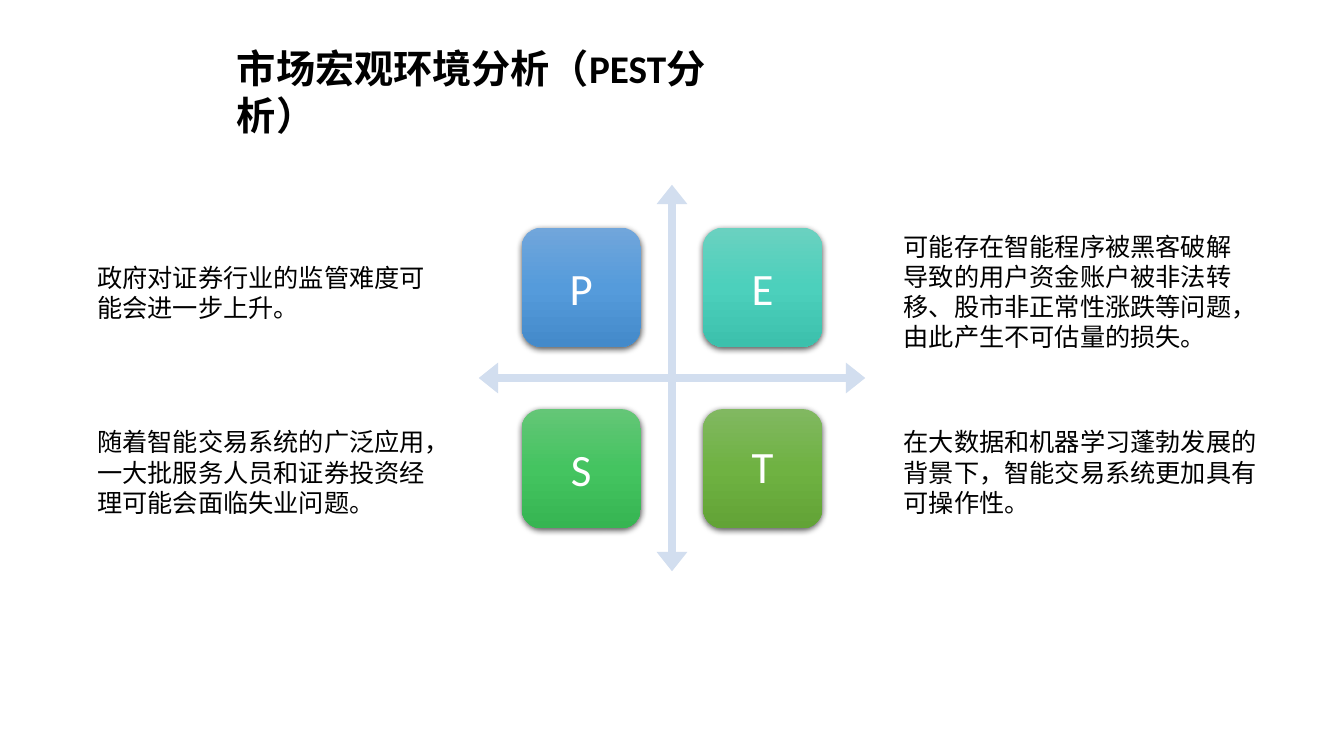
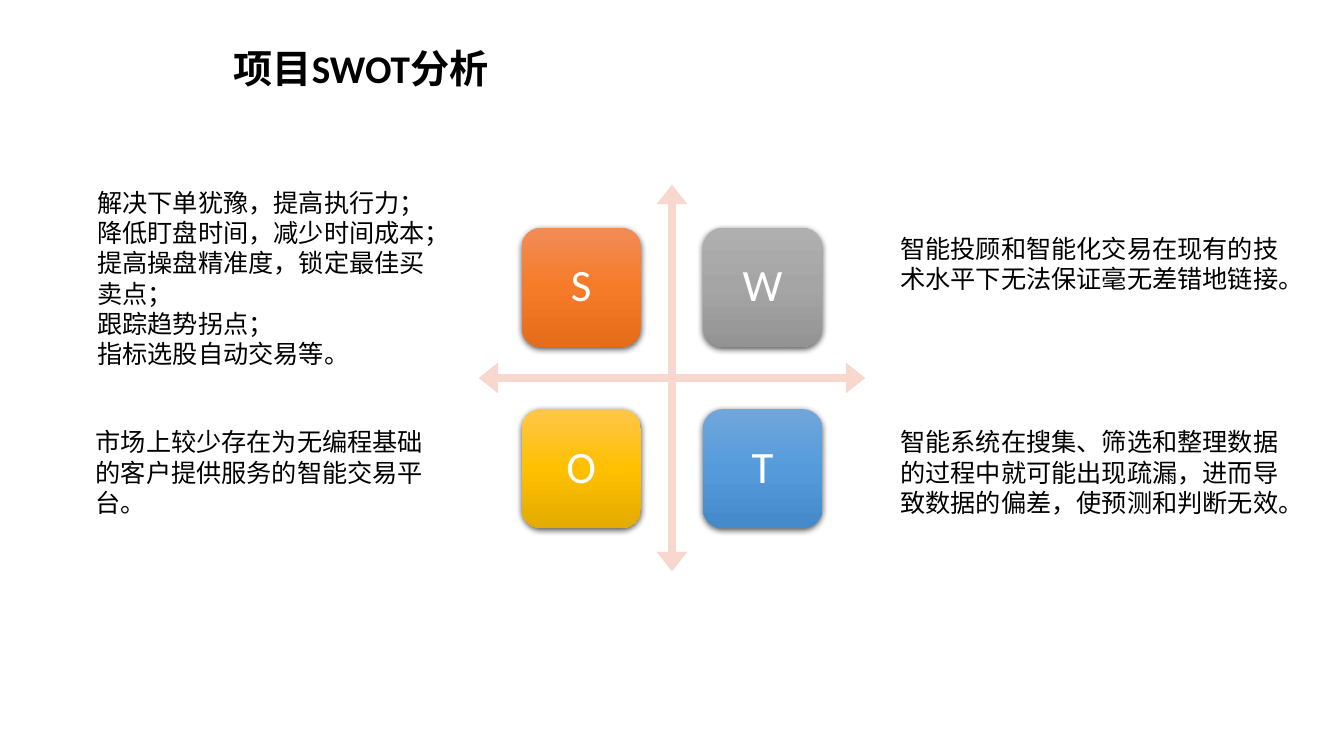
from copy import deepcopy
from itertools import product

from lxml.etree import SubElement
from pptx import Presentation
from pptx.dml.color import RGBColor
from pptx.enum.shapes import MSO_SHAPE
from pptx.enum.text import MSO_ANCHOR, MSO_AUTO_SIZE, PP_ALIGN
from pptx.oxml.ns import qn
from pptx.util import Inches, Pt

COLUMNS, ROWS = 160, 90
CELL = Inches(7.5) / ROWS
CENTER_X, CENTER_Y = COLUMNS / 2, ROWS / 2
TILE_SIZE, TILE_OFFSET = 14.2, 10.8
ARROW_SIZE = 46

COLORS = {
    "text": "000000", "letter": "FFFFFF", "shadow": "000000",
    "pale blue": "D2DEEF", "pale orange": "F8D7CE",
}
GRADIENTS = {
    "blue": ("71A6DB", "559BDB", "448ACA"),
    "teal": ("6AD1C0", "4CD0BC", "3CC0AC"),
    "green": ("64C677", "44C460", "36B552"),
    "olive": ("81B861", "6FB242", "62A336"),
    "orange": ("F18C57", "F67B28", "E56C19"),
    "grey": ("AFAFAF", "A5A5A5", "939393"),
    "yellow": ("FFC64B", "FFC000", "E3AB00"),
}
FORMATS = {
    "title": {"size": Pt(28), "bold": True},
    "note": {"size": Pt(18), "bold": False},
    "letter": {"size": Pt(32), "bold": False},
}
FRAME = {"word_wrap": True, "vertical_anchor": MSO_ANCHOR.TOP,
         "auto_size": MSO_AUTO_SIZE.SHAPE_TO_FIT_TEXT}
TILE_FRAME = {"word_wrap": True, "vertical_anchor": MSO_ANCHOR.MIDDLE}
TILE_FRAME |= {f"margin_{side}": Inches(0.13)
               for side in ("left", "top", "right", "bottom")}

# Each tile is letter, gradient, line spacing; each note is its place and its paragraphs.
SLIDES = [
    {
        "title": ("市场宏观环境分析（PEST分析）", (27, 4.7, 67, 6.8)),
        "arrow": "pale blue",
        "tiles": [("P", "blue", 1.0), ("E", "teal", 1.0),
                  ("S", "green", 1.0), ("T", "olive", 0.9)],
        "notes": [
            ((10.4, 30.6, 41.9, 8.5), ["政府对证券行业的监管难度可能会进一步上升。"]),
            ((106.4, 26.9, 43.7, 15.7),
             ["可能存在智能程序被黑客破解导致的用户资金账户被非法转移、"
              "股市非正常性涨跌等问题，由此产生不可估量的损失。"]),
            ((10.4, 50.2, 41.9, 12.1),
             ["随着智能交易系统的广泛应用，一大批服务人员和证券投资经理可能会面临失业问题。"]),
            ((106.4, 50.2, 44.4, 12.1),
             ["在大数据和机器学习蓬勃发展的背景下，智能交易系统更加具有可操作性。"]),
        ],
    },
    {
        "title": ("项目SWOT分析", (26.6, 4.7, 43.2, 6.8)),
        "arrow": "pale orange",
        "tiles": [("S", "orange", 0.9), ("W", "grey", 0.9),
                  ("O", "yellow", 0.9), ("T", "blue", 0.9)],
        "notes": [
            ((10.4, 21.7, 42.2, 23),
             ["解决下单犹豫，提高执行力；", "降低盯盘时间，减少时间成本；",
              "提高操盘精准度，锁定最佳买卖点；", "跟踪趋势拐点；", "指标选股自动交易等。"]),
            ((106, 27.2, 47.4, 12.1),
             ["智能投顾和智能化交易在现有的技术水平下无法保证毫无差错地链接。"]),
            ((10.2, 50.2, 42.4, 12.1),
             ["市场上较少存在为无编程基础的客户提供服务的智能交易平台。"]),
            ((106, 50.2, 47.4, 12.1),
             ["智能系统在搜集、筛选和整理数据的过程中就可能出现疏漏，"
              "进而导致数据的偏差，使预测和判断无效。"]),
        ],
    },
]


def cells(*counts):
    """Turn grid cells into slide lengths."""
    return [round(count * CELL) for count in counts]


def set_all(target, values):
    for name, value in values.items():
        setattr(target, name, value)


class MatrixDeck:
    """Presentation style plus the slide being filled."""

    def __init__(self):
        self.deck = Presentation()
        self.deck.slide_width, self.deck.slide_height = cells(COLUMNS, ROWS)
        self.slide = None

    def add_slide(self):
        self.slide = self.deck.slides.add_slide(self.deck.slide_layouts[5])

    def fill_text(self, shape, lines, style, color, frame, **paragraph_format):
        text_frame = shape.text_frame
        set_all(text_frame, frame)
        for index, line in enumerate(lines):
            para = text_frame.add_paragraph() if index else text_frame.paragraphs[0]
            set_all(para, paragraph_format)
            span = para.add_run()
            span.text = line
            set_all(span.font, {"name": "Calibri", **FORMATS[style]})
            span.font.color.rgb = RGBColor.from_string(COLORS[color])

    def title(self, text, place):
        title = self.slide.shapes.title
        set_all(title, dict(zip(("left", "top", "width", "height"), cells(*place))))
        self.fill_text(title, [text], "title", "text", FRAME, alignment=PP_ALIGN.LEFT)

    def note(self, place, lines):
        box = self.slide.shapes.add_textbox(*cells(*place))
        self.fill_text(box, lines, "note", "text", FRAME)

    def centered_shape(self, kind, x, y, size):
        """Add a square shape around a grid point, without line or shadow."""
        shape = self.slide.shapes.add_shape(
            kind, *cells(x - size / 2, y - size / 2, size, size))
        shape.shadow.inherit = False
        shape.line.fill.background()
        return shape

    def cross_arrow(self, color):
        arrow = self.centered_shape(MSO_SHAPE.QUAD_ARROW, CENTER_X, CENTER_Y, ARROW_SIZE)
        for index, share in enumerate((0.02, 0.04, 0.05)):
            arrow.adjustments[index] = share
        arrow.fill.solid()
        arrow.fill.fore_color.rgb = RGBColor.from_string(COLORS[color])

    def tile(self, x, y, letter, gradient, line_spacing):
        tile = self.centered_shape(MSO_SHAPE.ROUNDED_RECTANGLE, x, y, TILE_SIZE)
        self.shade(tile, GRADIENTS[gradient])
        self.drop_shadow(tile)
        self.fill_text(tile, [letter], "letter", "letter", TILE_FRAME,
                       alignment=PP_ALIGN.CENTER, line_spacing=line_spacing)

    @staticmethod
    def shade(shape, colors):
        """Fill from top to bottom with evenly spaced colours."""
        shape.fill.gradient()
        shape.fill.gradient_angle = 270
        stop_list = shape._element.spPr.find(f".//{qn('a:gsLst')}")
        while len(stop_list) < len(colors):
            stop_list.append(deepcopy(stop_list[0]))
        for index, (stop, color) in enumerate(zip(shape.fill.gradient_stops, colors)):
            stop.position = index / (len(colors) - 1)
            stop.color.rgb = RGBColor.from_string(color)

    @staticmethod
    def drop_shadow(shape):
        effects = shape._element.spPr.find(qn("a:effectLst"))
        shadow = SubElement(effects, qn("a:outerShdw"), blurRad=str(Pt(4.5)),
                            dist=str(Pt(1.5)), dir="5400000", algn="ctr", rotWithShape="0")
        color = SubElement(shadow, qn("a:srgbClr"), val=COLORS["shadow"])
        SubElement(color, qn("a:alpha"), val="63000")


def main():
    matrix = MatrixDeck()
    for content in SLIDES:
        matrix.add_slide()
        matrix.title(*content["title"])
        matrix.cross_arrow(content["arrow"])
        for (down, across), tile in zip(product((-1, 1), repeat=2), content["tiles"]):
            matrix.tile(CENTER_X + across * TILE_OFFSET,
                        CENTER_Y + down * TILE_OFFSET, *tile)
        for place, lines in content["notes"]:
            matrix.note(place, lines)
    matrix.deck.save("out.pptx")


if __name__ == "__main__":
    main()
